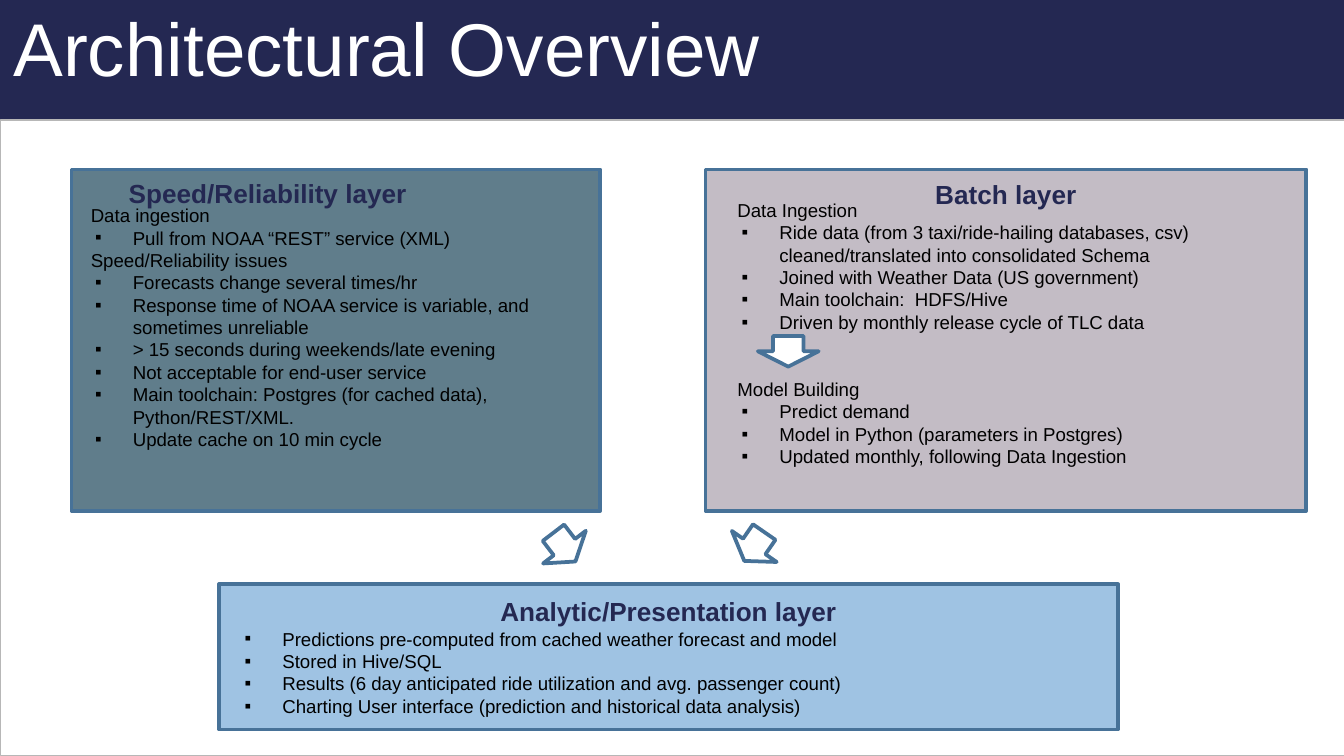
"""Build the Architectural Overview slide: three layer boxes joined by arrows."""
from lxml import etree
from pptx import Presentation
from pptx.dml.color import RGBColor
from pptx.enum.shapes import MSO_SHAPE
from pptx.enum.text import MSO_ANCHOR, MSO_AUTO_SIZE, PP_ALIGN
from pptx.oxml.ns import qn
from pptx.util import Pt

RECT, DOWN = MSO_SHAPE.RECTANGLE, MSO_SHAPE.DOWN_ARROW
ROUND_TOP = MSO_SHAPE.ROUND_2_SAME_RECTANGLE
LEFT, CENTER = PP_ALIGN.LEFT, PP_ALIGN.CENTER
TOP, BOTTOM = MSO_ANCHOR.TOP, MSO_ANCHOR.BOTTOM

NAVY = RGBColor(0x24, 0x28, 0x52)
BLUE = RGBColor(0x47, 0x72, 0x98)
SKY = RGBColor(0x9F, 0xC3, 0xE3)
SLATE = RGBColor(0x60, 0x7D, 0x8B)
MAUVE = RGBColor(0xC3, 0xBC, 0xC5)
GREY = RGBColor(0xB7, 0xB7, 0xB7)
WHITE = RGBColor(0xFF, 0xFF, 0xFF)
BLACK = RGBColor(0, 0, 0)

FONT = "Arial"
LINE = 12
INDENT, HANGING = 22.5, 20.25

TITLE = "Architectural Overview"
LAYERS = [
    {"name": "Analytic/Presentation layer", "fill": SKY,
     "box": (117.3, 313, 481.7, 77.8),
     "heading": (117.3, 315.4, 481.7, 18), "body": (121.7, 332.6, 471.6, 56.2),
     "groups": [("", [
         "Predictions pre-computed from cached weather forecast and model",
         "Stored in Hive/SQL",
         "Results (6 day anticipated ride utilization and avg. passenger count)",
         "Charting User interface (prediction and historical data analysis)"])]},
    {"name": "Speed/Reliability layer", "fill": SLATE,
     "box": (38.3, 90.8, 283.2, 183),
     "heading": (41.6, 91.4, 203.8, 18), "body": (41.6, 105.8, 280, 158.4),
     "groups": [
         ("Data ingestion", ["Pull from NOAA “REST” service (XML)"]),
         ("Speed/Reliability issues", [
             "Forecasts change several times/hr",
             "Response time of NOAA service is variable, and sometimes unreliable",
             "> 15 seconds during weekends/late evening",
             "Not acceptable for end-user service",
             "Main toolchain: Postgres (for cached data), Python/REST/XML.",
             "Update cache on 10 min cycle"])]},
    {"name": "Batch layer", "fill": MAUVE,
     "box": (378, 90.8, 321.8, 183),
     "heading": (378, 92.2, 321.8, 18), "body": (388, 103, 312.5, 170.6),
     "gap": 2 * LINE,
     "groups": [
         ("Data Ingestion", [
             "Ride data (from 3 taxi/ride-hailing databases, csv) "
             "cleaned/translated into consolidated Schema",
             "Joined with Weather Data (US government)",
             "Main toolchain:  HDFS/Hive",
             "Driven by monthly release cycle of TLC data"]),
         ("Model Building", [
             "Predict demand",
             "Model in Python (parameters in Postgres)",
             "Updated monthly, following Data Ingestion"])]},
]
ARROWS = [((406, 180, 32.6, 16.4), 0),
          ((288, 283.4, 28.8, 19.4), 322.6 - 360 + 77.4),
          ((389.5, 283.4, 29.2, 18.8), 34.7)]
ARROWS[1] = (ARROWS[1][0], 322.6)


def add_block(s, kind, box, fill, line=None, width=2, rotation=0):
    sp = s.shapes.add_shape(kind, *map(Pt, box))
    sp.shadow.inherit = False
    sp.rotation = rotation
    sp.fill.solid()
    sp.fill.fore_color.rgb = fill
    if line is None:
        sp.line.fill.background()
    else:
        sp.line.color.rgb = line
        sp.line.width = Pt(width)


def set_frame(tf, inset, anchor=TOP):
    tf.word_wrap = True
    tf.auto_size = MSO_AUTO_SIZE.NONE
    tf.vertical_anchor = anchor
    tf.margin_left = tf.margin_right = Pt(7.2)
    tf.margin_top = tf.margin_bottom = Pt(inset)


def set_text(p, text, size, color, bold=False, align=LEFT):
    p.text = text
    p.alignment = align
    font = p.runs[0].font
    font.name, font.size, font.bold = FONT, Pt(size), bold
    font.color.rgb = color


def add_bullet(p):
    pPr = p._p.get_or_add_pPr()
    pPr.set("marL", str(Pt(INDENT)))
    pPr.set("indent", str(-Pt(HANGING)))
    etree.SubElement(pPr, qn("a:buFont"), typeface=FONT)
    etree.SubElement(pPr, qn("a:buChar"), char="▪")


def add_text(s, box):
    tf = s.shapes.add_textbox(*map(Pt, box)).text_frame
    set_frame(tf, 3.6)
    return tf


def add_layer(s, layer):
    add_block(s, RECT, layer["box"], layer["fill"], BLUE)
    tf = add_text(s, layer["heading"])
    set_text(tf.paragraphs[0], layer["name"], 14, NAVY, True, CENTER)
    tf = add_text(s, layer["body"])
    rows = [(text, i > 0, g > 0 and i == 0)
            for g, (topic, items) in enumerate(layer["groups"])
            for i, text in enumerate([topic] + items) if text]
    for n, (text, bulleted, new_group) in enumerate(rows):
        p = tf.add_paragraph() if n else tf.paragraphs[0]
        set_text(p, text, 10, BLACK)
        p.line_spacing = Pt(LINE)
        if new_group:
            p.space_before = Pt(layer.get("gap", 0))
        if bulleted:
            add_bullet(p)


def main():
    prs = Presentation()
    prs.slide_width, prs.slide_height = Pt(720), Pt(405)
    s = prs.slides.add_slide(prs.slide_layouts[5])
    add_block(s, ROUND_TOP, (0, 0, 720, 76.3), NAVY, rotation=180)
    add_block(s, RECT, (0.4, 64.3, 720, 340.5), WHITE, GREY, 0.75)
    title = s.shapes.title
    title.left, title.top, title.width, title.height = map(Pt, (0, 2.2, 594, 54))
    set_frame(title.text_frame, 7.2, BOTTOM)
    set_text(title.text_frame.paragraphs[0], TITLE, 40, WHITE)
    s.shapes._spTree.append(title._element)
    for layer in LAYERS:
        add_layer(s, layer)
    for box, rotation in ARROWS:
        add_block(s, DOWN, box, WHITE, BLUE, rotation=rotation)
    prs.save("out.pptx")


if __name__ == "__main__":
    main()
